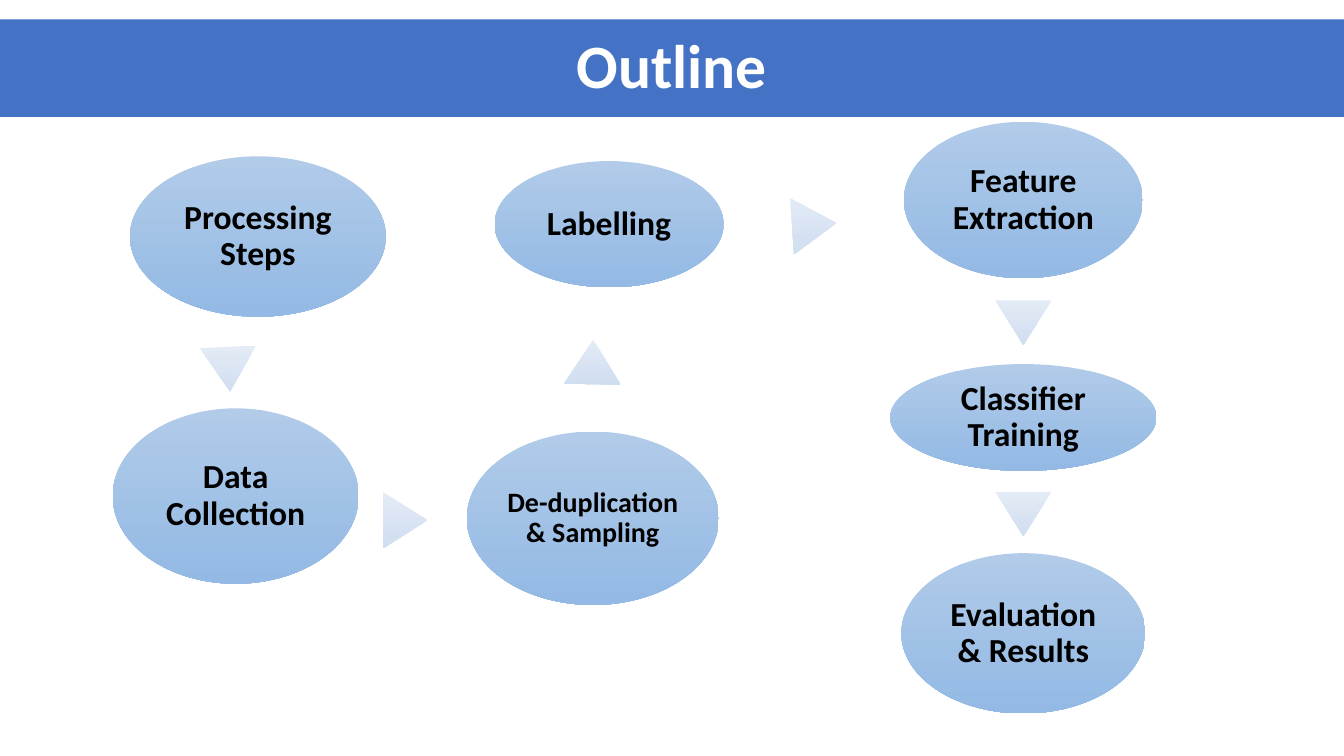
from dataclasses import dataclass

from pptx import Presentation
from pptx.dml.color import RGBColor
from pptx.enum.shapes import MSO_SHAPE
from pptx.enum.text import MSO_ANCHOR, PP_ALIGN
from pptx.oxml.ns import qn
from pptx.util import Cm, Pt


@dataclass(frozen=True)
class Theme:
    font: str = "Calibri"
    banner: str = "4472C4"
    banner_text: str = "FFFFFF"
    step: tuple = ("B1CBE9", "93B9E4")
    step_text: str = "000000"
    arrow: tuple = ("E3EBF6", "D0DEF1")
    title_size: int = 44
    step_size: int = 24
    small_size: int = 20


PAGE_WIDTH, PAGE_HEIGHT = 33.87, 19.05
ARROW_WIDTH, ARROW_HEIGHT = 1.42, 1.12
RIGHT_COLUMN = 25.79

# Label, centre x, centre y, width, height in cm
STEPS = [
    ("Processing Steps", 6.5, 5.96, 6.45, 4.04),
    ("Data Collection", 5.94, 12.5, 6.2, 4.42),
    ("De-duplication & Sampling", 14.94, 13.06, 6.35, 4.37),
    ("Labelling", 15.35, 5.65, 5.77, 3.18),
    ("Feature Extraction", RIGHT_COLUMN, 5.04, 6.02, 3.94),
    ("Classifier Training", RIGHT_COLUMN, 10.52, 6.71, 2.69),
    ("Evaluation & Results", RIGHT_COLUMN, 15.96, 6.15, 4.04),
]

# Centre x, centre y in cm, rotation in degrees
ARROWS = [
    (5.77, 9.3, 177.3),
    (10.21, 13.11, 90),
    (14.94, 9.12, 0.9),
    (20.52, 5.66, 86),
    (RIGHT_COLUMN, 8.13, 180),
    (RIGHT_COLUMN, 12.95, 180),
]


def write_text(shape, text, *, font, size, color, inset):
    frame = shape.text_frame
    frame.word_wrap = True
    frame.vertical_anchor = MSO_ANCHOR.MIDDLE
    frame.margin_left = frame.margin_right = Cm(inset)
    frame.margin_top = frame.margin_bottom = Cm(inset)
    para = frame.paragraphs[0]
    para.alignment = PP_ALIGN.CENTER
    para.line_spacing = 0.9
    span = para.add_run()
    span.text = text
    span.font.name = font
    span.font.size = Pt(size)
    span.font.bold = True
    span.font.color.rgb = RGBColor.from_string(color)


class OutlinePage:
    def __init__(self, page, theme):
        self.page = page
        self.theme = theme

    def centred_shape(self, kind, x, y, width, height):
        shape = self.page.shapes.add_shape(
            kind, Cm(x - width / 2), Cm(y - height / 2), Cm(width), Cm(height))
        shape.shadow.inherit = False
        shape.line.fill.background()
        return shape

    def shade(self, shape, colors):
        shape.fill.gradient()
        shape.fill.gradient_angle = 270
        for stop, color in zip(shape.fill.gradient_stops, colors):
            stop.color.rgb = RGBColor.from_string(color)
        # Keep the shading vertical when the shape is turned
        gradient = shape._element.spPr.find(qn("a:gradFill"))
        gradient.set("rotWithShape", "0")

    def banner(self, text, y, height):
        shape = self.centred_shape(
            MSO_SHAPE.RECTANGLE, PAGE_WIDTH / 2, y, PAGE_WIDTH, height)
        shape.fill.solid()
        shape.fill.fore_color.rgb = RGBColor.from_string(self.theme.banner)
        write_text(shape, text, font=self.theme.font, size=self.theme.title_size,
                   color=self.theme.banner_text, inset=0.13)

    def step(self, label, x, y, width, height):
        shape = self.centred_shape(MSO_SHAPE.OVAL, x, y, width, height)
        self.shade(shape, self.theme.step)
        is_long = len(label) > 20
        size = self.theme.small_size if is_long else self.theme.step_size
        write_text(shape, label, font=self.theme.font, size=size,
                   color=self.theme.step_text, inset=0.08)

    def arrow(self, x, y, rotation):
        shape = self.centred_shape(
            MSO_SHAPE.ISOSCELES_TRIANGLE, x, y, ARROW_WIDTH, ARROW_HEIGHT)
        shape.rotation = rotation
        self.shade(shape, self.theme.arrow)


def main():
    deck = Presentation()
    deck.slide_width = Cm(PAGE_WIDTH)
    deck.slide_height = Cm(PAGE_HEIGHT)
    outline = OutlinePage(deck.slides.add_slide(deck.slide_layouts[6]), Theme())

    # Process steps
    for step in STEPS:
        outline.step(*step)

    # Arrows between the steps
    for arrow in ARROWS:
        outline.arrow(*arrow)

    # Title banner
    outline.banner("Outline", y=1.72, height=2.46)

    deck.save("out.pptx")


if __name__ == "__main__":
    main()
